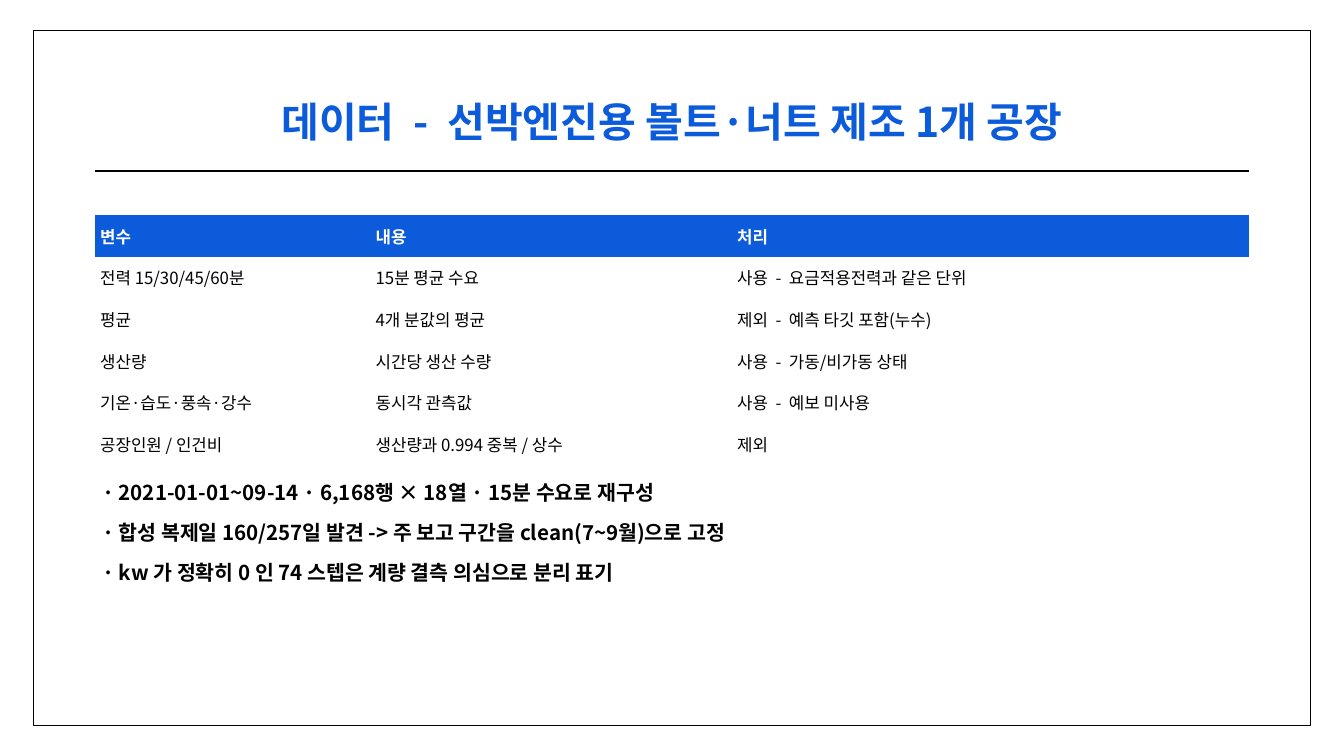
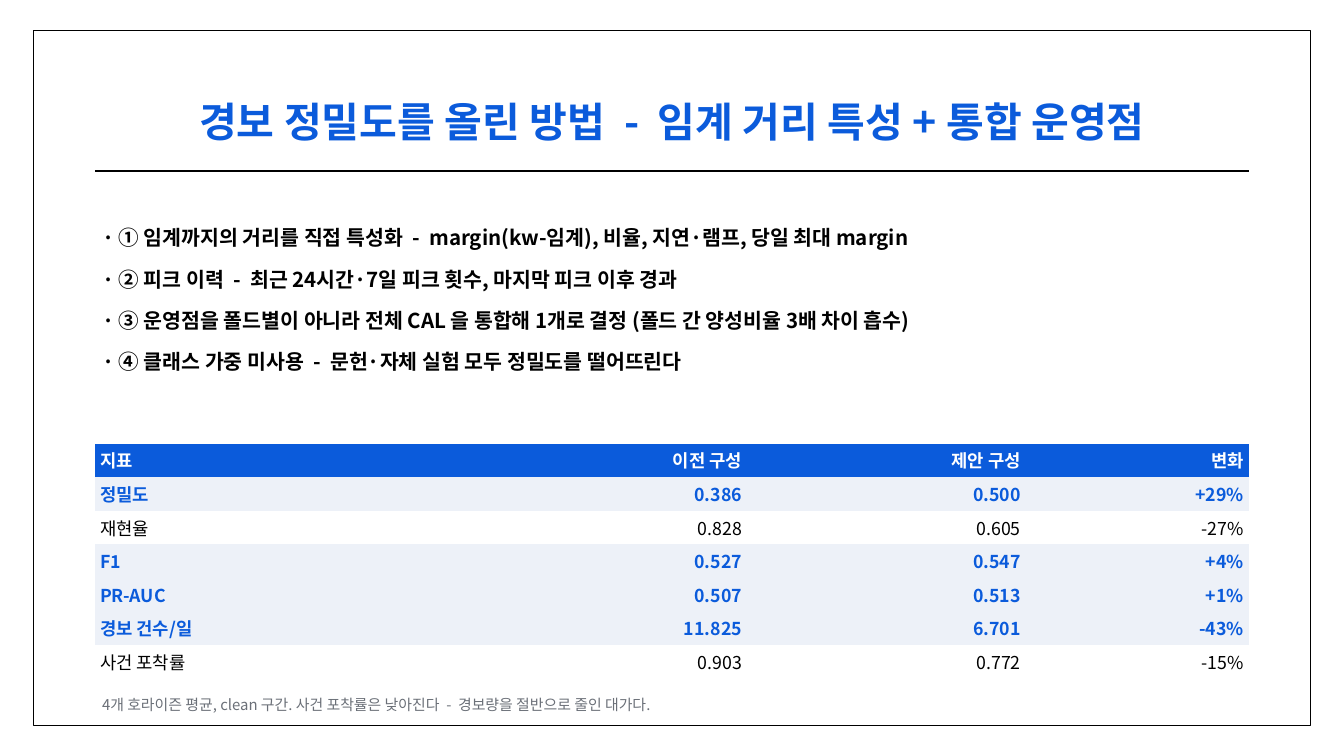
from lxml import etree
from pptx import Presentation
from pptx.dml.color import RGBColor as Rgb
from pptx.enum.shapes import MSO_CONNECTOR as Conn
from pptx.enum.text import MSO_ANCHOR as Anchor, MSO_AUTO_SIZE as Fit, PP_ALIGN as Align
from pptx.oxml.ns import qn
from pptx.util import Inches, Pt

FONT = "Noto Sans CJK KR"
HUES = {"blue": "0B5BDB", "ink": "000000", "white": "FFFFFF", "tint": "EDF1F8", "gray": "6B7078"}
LEFT, WIDE = 1.42, 17.16
PLAIN = "{2D5ABB26-0587-4C30-8999-92F81FD0307C}"  # table style without grid

HEAD = {"size": 44, "bold": True, "hue": "blue"}
POINT = {"size": 22, "bold": True, "hue": "ink"}
NOTE = {"size": 16, "bold": False, "hue": "gray"}

DATA = [
    ["변수", "내용", "처리"],
    ["전력 15/30/45/60분", "15분 평균 수요", "사용  -  요금적용전력과 같은 단위"],
    ["평균", "4개 분값의 평균", "제외  -  예측 타깃 포함(누수)"],
    ["생산량", "시간당 생산 수량", "사용  -  가동/비가동 상태"],
    ["기온·습도·풍속·강수", "동시각 관측값", "사용  -  예보 미사용"],
    ["공장인원 / 인건비", "생산량과 0.994 중복 / 상수", "제외"],
]
FACTS = [
    "· 2021-01-01~09-14 · 6,168행 × 18열 · 15분 수요로 재구성",
    "· 합성 복제일 160/257일 발견 -> 주 보고 구간을 clean(7~9월)으로 고정",
    "· kw 가 정확히 0 인 74 스텝은 계량 결측 의심으로 분리 표기",
]
STEPS = [
    "· ① 임계까지의 거리를 직접 특성화  -  margin(kw-임계), 비율, 지연·램프, 당일 최대 margin",
    "· ② 피크 이력  -  최근 24시간·7일 피크 횟수, 마지막 피크 이후 경과",
    "· ③ 운영점을 폴드별이 아니라 전체 CAL 을 통합해 1개로 결정 (폴드 간 양성비율 3배 차이 흡수)",
    "· ④ 클래스 가중 미사용  -  문헌·자체 실험 모두 정밀도를 떨어뜨린다",
]
SCORES = [
    ["지표", "이전 구성", "제안 구성", "변화"],
    ["정밀도", "0.386", "0.500", "+29%"],
    ["재현율", "0.828", "0.605", "-27%"],
    ["F1", "0.527", "0.547", "+4%"],
    ["PR-AUC", "0.507", "0.513", "+1%"],
    ["경보 건수/일", "11.825", "6.701", "-43%"],
    ["사건 포착률", "0.903", "0.772", "-15%"],
]
GAINS = {"정밀도", "F1", "PR-AUC", "경보 건수/일"}


def color(name):
    return Rgb.from_string(HUES[name])


def paint(fill, name):
    fill.solid()
    fill.fore_color.rgb = color(name)


def put(item, **vals):
    for key, val in vals.items():
        setattr(item, key, val)


def write(para, text, look, align=Align.LEFT):
    para.alignment = align
    run = para.add_run()
    run.text = text
    put(run.font, name=FONT, size=Pt(look["size"]), bold=look["bold"])
    run.font.color.rgb = color(look["hue"])
    # Hangul takes the East Asian font
    east = etree.SubElement(run.font._element, qn("a:ea"))
    east.set("typeface", FONT)


def add_text(slide, area, lines, look, gap=0, align=Align.LEFT):
    frame = slide.shapes.add_textbox(*map(Inches, area)).text_frame
    put(frame, word_wrap=True, auto_size=Fit.SHAPE_TO_FIT_TEXT)
    for i, line in enumerate(lines):
        para = frame.add_paragraph() if i else frame.paragraphs[0]
        para.space_after = Pt(gap)
        write(para, line, look, align)


def add_frame(slide):
    x, y, right, low = map(Inches, (0.5, 0.45, 19.5, 10.8))
    pen = slide.shapes.build_freeform(x, y)
    pen.add_line_segments([(right, y), (right, low), (x, low)], close=True)
    box = pen.convert_to_shape()
    box.shadow.inherit = False
    paint(box.fill, "white")
    paint(box.line.fill, "ink")
    box.line.width = Pt(0.75)


def add_rule(slide, y):
    ends = map(Inches, (LEFT, y, LEFT + WIDE, y))
    rule = slide.shapes.add_connector(Conn.STRAIGHT, *ends)
    paint(rule.line.fill, "ink")
    rule.line.width = Pt(2.25)
    etree.SubElement(rule._element.spPr, qn("a:effectLst"))


def add_grid(slide, top, rows, cols, tall, size, marked=(), align=Align.LEFT):
    area = map(Inches, (LEFT, top, WIDE, tall * len(rows)))
    grid = slide.shapes.add_table(len(rows), len(cols), *area).table
    grid.horz_banding = False
    grid._tbl.tblPr.find(qn("a:tableStyleId")).text = PLAIN
    for col, wide in zip(grid.columns, cols):
        col.width = Inches(wide)
    for r, row in enumerate(rows):
        grid.rows[r].height = Inches(tall)
        mark = row[0] in marked
        if r == 0:
            back, hue, pad = "blue", "white", 0.05
        else:
            back, hue, pad = ("tint", "blue", 0.01) if mark else ("white", "ink", 0.01)
        look = {"size": size, "bold": r == 0 or mark, "hue": hue}
        for c, text in enumerate(row):
            cell = grid.cell(r, c)
            put(cell, vertical_anchor=Anchor.MIDDLE,
                margin_left=Inches(0.07), margin_right=Inches(0.07),
                margin_top=Inches(pad), margin_bottom=Inches(pad))
            paint(cell.fill, back)
            write(cell.text_frame.paragraphs[0], text, look, align if c else Align.LEFT)


def add_page(deck, title):
    slide = deck.slides.add_slide(deck.slide_layouts[6])
    paint(slide.background.fill, "white")
    add_frame(slide)
    add_rule(slide, 2.54)
    add_text(slide, (2, 1.38, 16, 0.9), [title], HEAD, align=Align.CENTER)
    return slide


def main():
    deck = Presentation()
    put(deck, slide_width=Inches(20), slide_height=Inches(11.25))

    # Data: variables and facts
    page = add_page(deck, "데이터  -  선박엔진용 볼트·너트 제조 1개 공장")
    add_grid(page, 3.2, DATA, (4.1, 5.38, 7.68), 0.62, 18)
    add_text(page, (LEFT, 7.1, WIDE, 6.6), FACTS, POINT, gap=16)

    # Method: steps, scores and note
    page = add_page(deck, "경보 정밀도를 올린 방법  -  임계 거리 특성 + 통합 운영점")
    add_text(page, (LEFT, 3.3, WIDE, 6.6), STEPS, POINT, gap=18)
    add_grid(page, 6.6, SCORES, (5.54, 4.15, 4.15, 3.32), 0.5, 19, GAINS, Align.RIGHT)
    note = "4개 호라이즌 평균, clean 구간. 사건 포착률은 낮아진다  -  경보량을 절반으로 줄인 대가다."
    add_text(page, (LEFT, 10.3, WIDE, 0.7), [note], NOTE, gap=10)

    deck.save("out.pptx")


if __name__ == "__main__":
    main()
